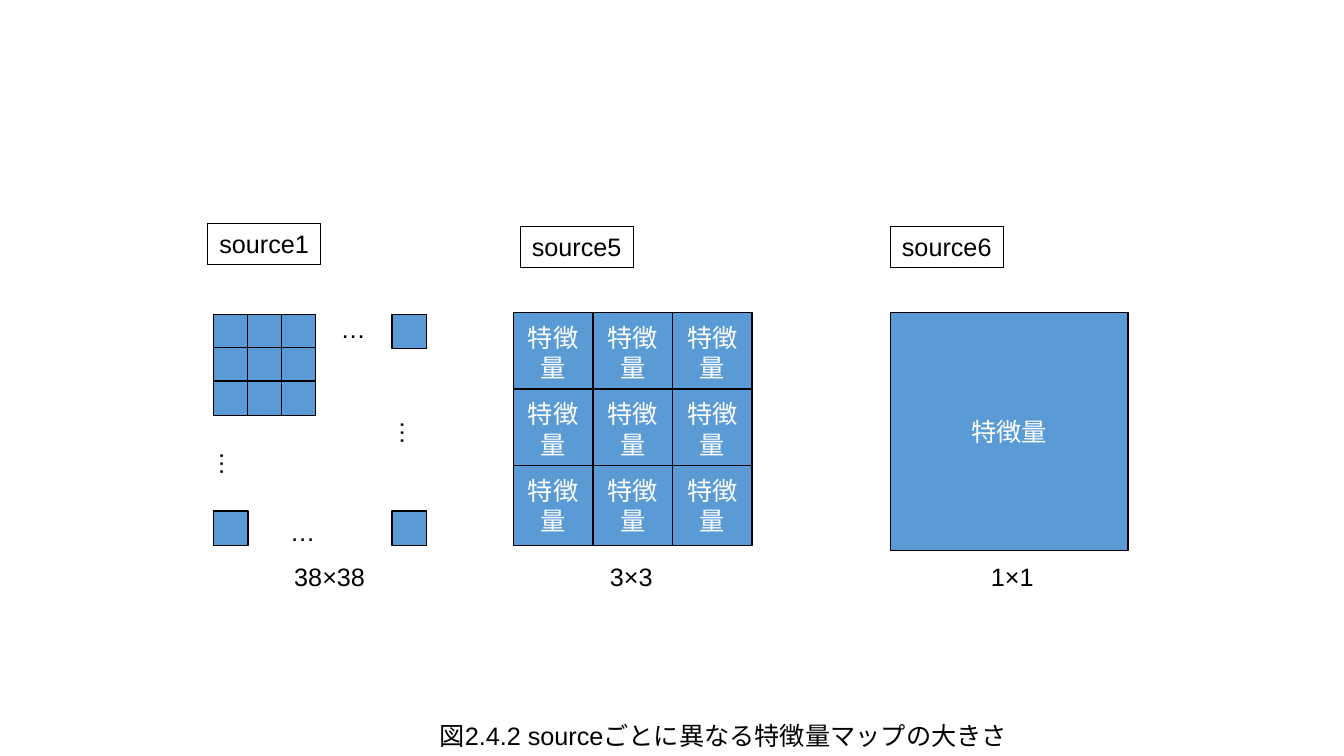
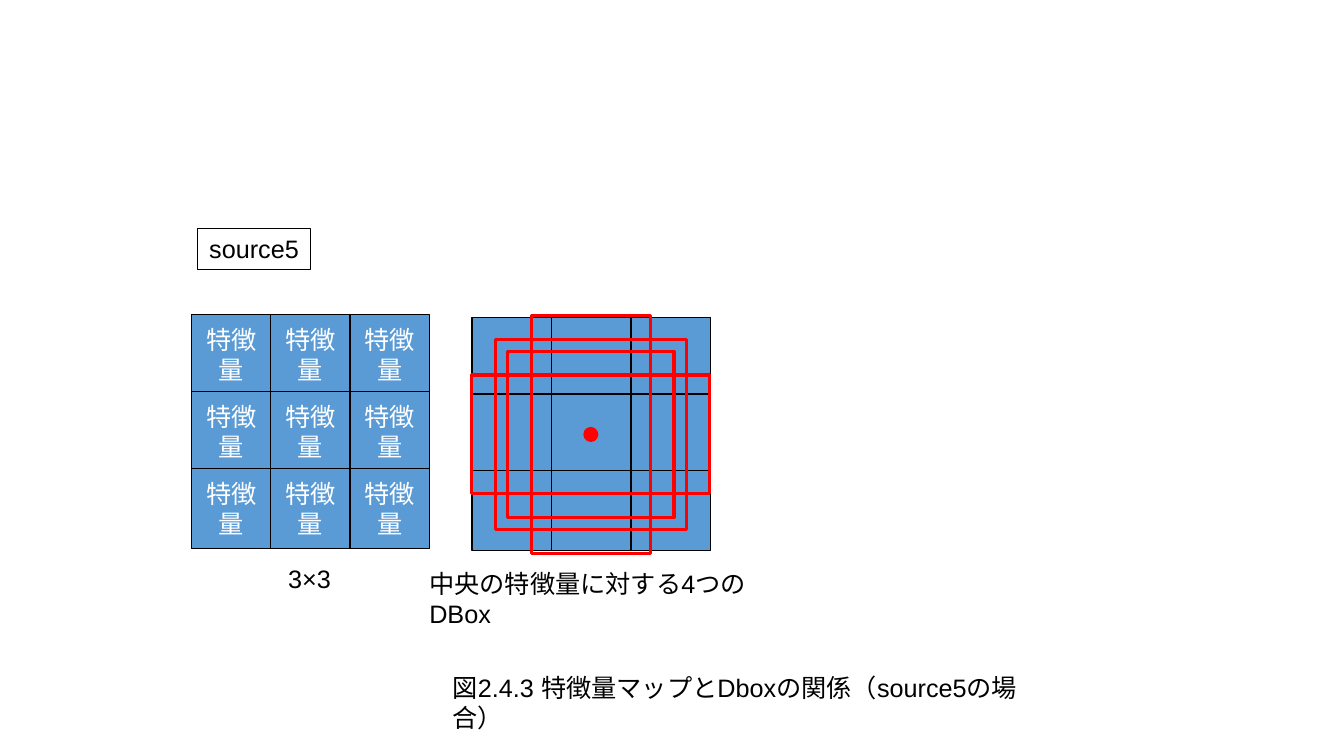
"""Build two slides on feature map sizes and default boxes."""
from itertools import product

from pptx import Presentation
from pptx.dml.color import RGBColor
from pptx.enum.shapes import MSO_SHAPE
from pptx.enum.text import MSO_ANCHOR, MSO_AUTO_SIZE, PP_ALIGN
from pptx.util import Inches, Pt

HUES = {"ink": "000000", "cell": "5B9BD5", "word": "FFFFFF", "mark": "FF0000"}
FONT = "Arial"
SIZE = Pt(18)
CELL = 0.79
MAP = 2.36
FEATURE = "特徴量"


def hue(name):
    """Return the named colour."""
    return RGBColor.from_string(HUES[name])


def write(shape, text, font=FONT, color="ink", align=PP_ALIGN.LEFT, anchor=MSO_ANCHOR.TOP):
    """Put one formatted paragraph in a shape."""
    frame = shape.text_frame
    frame.text = text
    frame.word_wrap = True
    frame.auto_size = MSO_AUTO_SIZE.NONE
    frame.vertical_anchor = anchor
    para = frame.paragraphs[0]
    para.alignment = align
    for run in para.runs:
        run.font.name = font
        run.font.size = SIZE
        run.font.color.rgb = hue(color)


def place(shape, left, top, width, height):
    """Move and size a shape."""
    shape.left, shape.top = Inches(left), Inches(top)
    shape.width, shape.height = Inches(width), Inches(height)


def start(deck, text, left, top):
    """Add a slide whose title is the figure caption."""
    slide = deck.slides.add_slide(deck.slide_layouts[5])
    place(slide.shapes.title, left, top, 6.2, 0.4)
    write(slide.shapes.title, text)
    return slide


def note(slide, text, left, top, width=0.93, turn=0):
    """Add a plain line of text."""
    box = slide.shapes.add_textbox(Inches(left), Inches(top), Inches(width), Inches(0.4))
    write(box, text)
    box.rotation = turn


def label(slide, text, left, top):
    """Add a framed source name."""
    box = slide.shapes.add_textbox(Inches(left), Inches(top), Inches(1.12), Inches(0.4))
    write(box, text, align=PP_ALIGN.CENTER)
    box.line.color.rgb = hue("ink")
    box.line.width = Pt(0.75)


def draw(slide, left, top, width, height, fill=None, line=None, weight=1, kind=MSO_SHAPE.RECTANGLE):
    """Add a shape with optional fill and outline."""
    shape = slide.shapes.add_shape(kind, Inches(left), Inches(top), Inches(width), Inches(height))
    shape.shadow.inherit = False
    if fill:
        shape.fill.solid()
        shape.fill.fore_color.rgb = hue(fill)
    else:
        shape.fill.background()
    if line:
        shape.line.color.rgb = hue(line)
        shape.line.width = Pt(weight)
    else:
        shape.line.fill.background()
    return shape


def tile(slide, left, top, size, text=""):
    """Add one square of a feature map."""
    shape = draw(slide, left, top, size, size, "cell", "ink")
    if text:
        write(shape, text, "Calibri", "word", PP_ALIGN.CENTER, MSO_ANCHOR.MIDDLE)


def grid(slide, left, top, size, across, down, text=""):
    """Add three by three tiles, column by column."""
    for col, row in product(range(3), repeat=2):
        tile(slide, left + col * across, top + row * down, size, text)


def center(slide, x, y, width, height, **style):
    """Add a shape around a middle point."""
    draw(slide, x - width / 2, y - height / 2, width, height, **style)


def sizes(deck):
    """Build the slide that compares map sizes."""
    slide = start(deck, "図2.4.2 sourceごとに異なる特徴量マップの大きさ", 4.26, 7.1)
    for text, left, top in (("source1", 2.06, 2.22), ("source5", 5.16, 2.25), ("source6", 8.83, 2.25)):
        label(slide, text, left, top)
    tile(slide, 8.83, 3.1, MAP, FEATURE)
    grid(slide, 5.09, 3.1, CELL, 0.79, 0.76, FEATURE)
    grid(slide, 2.12, 3.12, 0.34, 0.335, 0.33)
    for left, top in ((2.12, 5.07), (3.89, 3.12), (3.89, 5.07)):
        tile(slide, left, top, 0.34)
    for left, top, turn in ((2.78, 5.07, 0), (3.28, 3.06, 0), (3.61, 4.34, 90), (1.82, 4.65, 90)):
        note(slide, "…", left, top, turn=turn)
    for text, left, width in (("38×38", 2.82, 1.17), ("3×3", 5.95, 0.93), ("1×1", 9.73, 0.93)):
        note(slide, text, left, 5.52, width)


def boxes(deck):
    """Build the slide that shows the default boxes."""
    slide = start(deck, "図2.4.3 特徴量マップとDboxの関係（source5の場合）", 4.39, 6.62)
    label(slide, "source5", 1.96, 2.27)
    grid(slide, 1.9, 3.12, CELL, 0.785, 0.765, FEATURE)
    note(slide, "3×3", 2.76, 5.54)
    note(slide, "中央の特徴量に対する4つのDBox", 4.16, 5.59, 3.87)
    grid(slide, 4.68, 3.15, CELL, 0.79, 0.76)
    x, y = 5.86, 4.31
    center(slide, x, y, 0.15, 0.15, fill="mark", kind=MSO_SHAPE.OVAL)
    for width, height in ((1.65, 1.65), (1.89, 1.89), (MAP / 2, MAP), (MAP, MAP / 2)):
        center(slide, x, y, width, height, line="mark", weight=2.25)


def main():
    """Build and save the deck."""
    deck = Presentation()
    deck.slide_width, deck.slide_height = Inches(13.33), Inches(7.5)
    sizes(deck)
    boxes(deck)
    deck.save("out.pptx")


if __name__ == "__main__":
    main()
